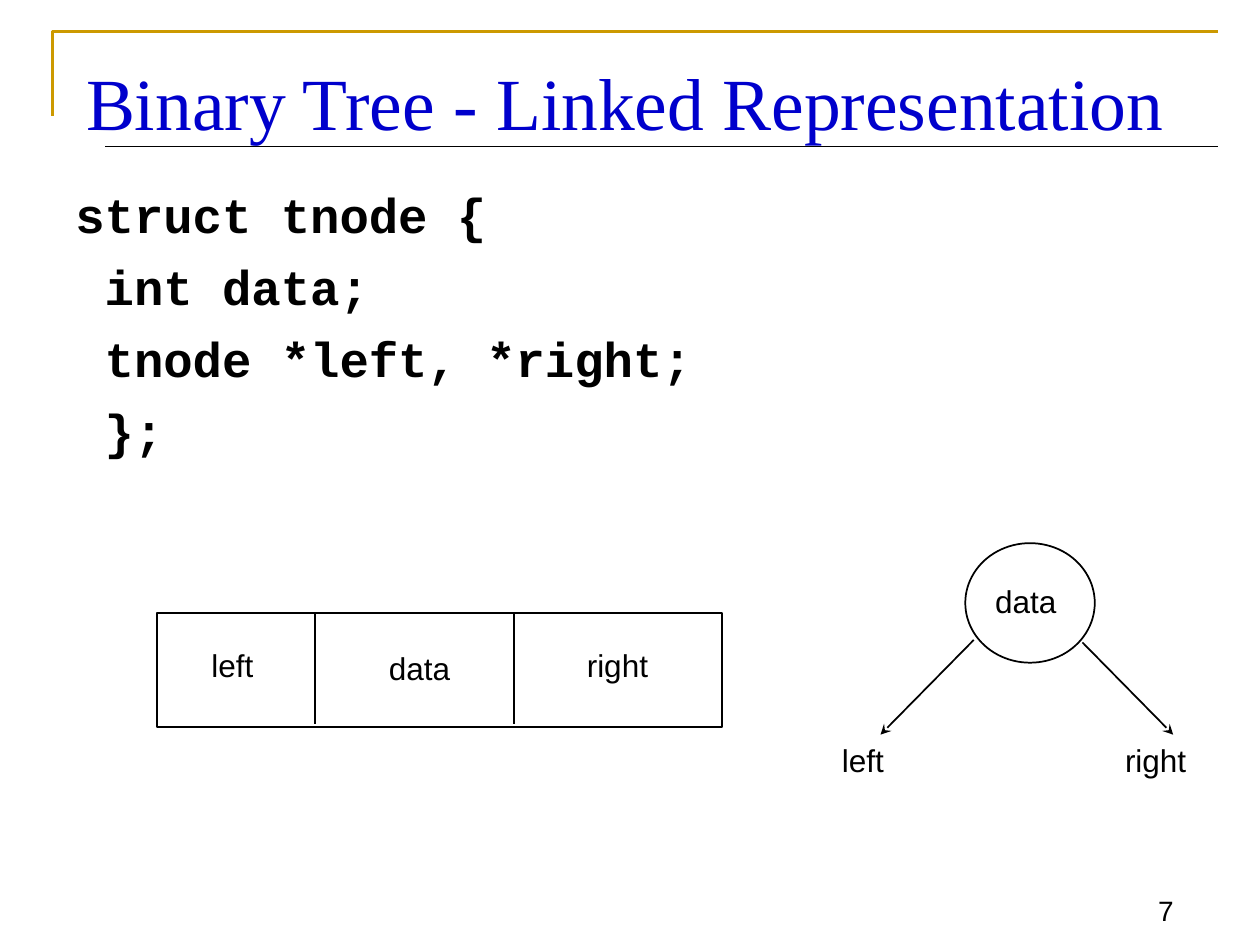
from lxml import etree
from pptx import Presentation
from pptx.dml.color import RGBColor
from pptx.enum.shapes import MSO_CONNECTOR, MSO_SHAPE
from pptx.enum.text import MSO_ANCHOR, PP_ALIGN
from pptx.oxml.ns import qn
from pptx.util import Cm, Pt

BLACK = RGBColor(0x00, 0x00, 0x00)
BLUE = RGBColor(0x00, 0x00, 0xCC)
GOLD = RGBColor(0xCC, 0x99, 0x00)
STRAIGHT = MSO_CONNECTOR.STRAIGHT
RECTANGLE, OVAL = MSO_SHAPE.RECTANGLE, MSO_SHAPE.OVAL
TOP, BOTTOM = MSO_ANCHOR.TOP, MSO_ANCHOR.BOTTOM
LEFT, RIGHT = PP_ALIGN.LEFT, PP_ALIGN.RIGHT

TITLE_FORMAT = {"name": "Times New Roman", "size": Pt(42), "bold": False}
CODE_FORMAT = {"name": "Courier New", "size": Pt(28), "bold": True}
LABEL_FORMAT = {"name": "Arial", "size": Pt(18)}
NUMBER_FORMAT = {"name": "Arial", "size": Pt(16)}


def write_lines(box, lines, font_format, color=BLACK, align=LEFT, gap=0):
    frame = box.text_frame
    for index, line in enumerate(lines):
        para = frame.paragraphs[0] if index == 0 else frame.add_paragraph()
        para.alignment = align
        para.space_before = Pt(gap if index else 0)
        span = para.add_run()
        span.text = line
        for name, value in font_format.items():
            setattr(span.font, name, value)
        span.font.color.rgb = color


def add_line(start, end, width=1, arrow=False):
    line = slide.shapes.add_connector(STRAIGHT, *map(Cm, start + end))
    line.line.color.rgb = BLACK
    line.line.width = Pt(width)
    if arrow:
        outline = line.line._get_or_add_ln()
        etree.SubElement(outline, qn("a:tailEnd"), type="stealth")
    etree.SubElement(line._element.spPr, qn("a:effectLst"))


deck = Presentation()
deck.slide_width, deck.slide_height = Cm(25.4), Cm(19.05)
slide = deck.slides.add_slide(deck.slide_layouts[5])

# Corner frame and rule around the title
builder = slide.shapes.build_freeform(Cm(1.06), Cm(2.33))
builder.add_line_segments(
    [(Cm(1.06), Cm(0.64)), (Cm(24.55), Cm(0.64))], close=False)
corner = builder.convert_to_shape()
corner.shadow.inherit = False
corner.fill.background()
corner.line.color.rgb = GOLD
corner.line.width = Pt(1.5)
add_line((2.12, 2.96), (24.55, 2.96), width=0.75)

title = slide.shapes.title
title.left, title.top, title.width, title.height = map(
    Cm, (1.48, 0.85, 23.07, 1.9))
title.text_frame.vertical_anchor = TOP
title.text_frame.margin_top = Cm(0.3)
write_lines(title, ["Binary Tree - Linked Representation"], TITLE_FORMAT, BLUE)

number = slide.shapes.add_textbox(Cm(22.23), Cm(17.57), Cm(1.68), Cm(1.24))
number.text_frame.vertical_anchor = BOTTOM
write_lines(number, ["7"], NUMBER_FORMAT, align=RIGHT)

code = slide.shapes.add_textbox(Cm(1.27), Cm(3.39), Cm(22.43), Cm(9.31))
code.text_frame.word_wrap = True
code.text_frame.margin_top = Cm(0.33)
write_lines(
    code,
    ["struct tnode {", " int data;", " tnode *left, *right;", " };"],
    CODE_FORMAT, gap=7.5)

# Record with three fields, and the tree node
for kind, place in (
    (RECTANGLE, (3.16, 12.36, 11.4, 2.29)),
    (OVAL, (19.46, 10.95, 2.61, 2.41)),
):
    outline_shape = slide.shapes.add_shape(kind, *map(Cm, place))
    outline_shape.shadow.inherit = False
    outline_shape.fill.background()
    outline_shape.line.color.rgb = BLACK
    outline_shape.line.width = Pt(1)

for divider_x in (6.35, 10.36):
    add_line((divider_x, 12.36), (divider_x, 14.6))
add_line((19.63, 12.9), (17.75, 14.81), arrow=True)
add_line((21.82, 12.95), (23.65, 14.81), arrow=True)

for text, left, top, width in (
    ("left", 4.01, 12.9, 1.63),
    ("data", 7.59, 12.95, 1.75),
    ("right", 11.58, 12.9, 1.75),
    ("data", 19.81, 11.6, 1.75),
    ("left", 16.72, 14.81, 1.37),
    ("right", 22.43, 14.81, 1.75),
):
    label = slide.shapes.add_textbox(Cm(left), Cm(top), Cm(width), Cm(1.03))
    label.text_frame.word_wrap = False
    write_lines(label, [text], LABEL_FORMAT)

deck.save("out.pptx")
